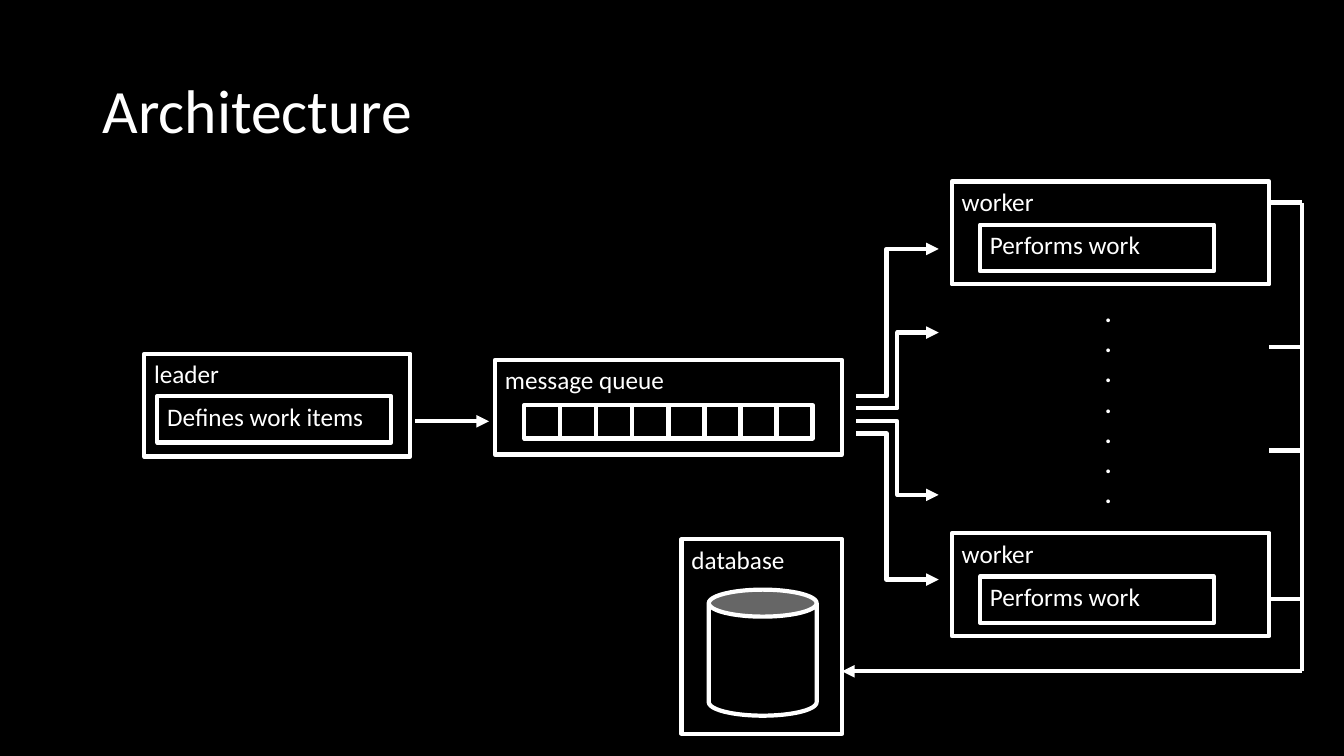
import lxml.etree
import pptx
import pptx.util
import pptx.dml.color
import pptx.enum.shapes
import pptx.enum.text
import pptx.oxml.ns

Inches = pptx.util.Inches
Pt = pptx.util.Pt
SHAPES = pptx.enum.shapes.MSO_SHAPE
CONNECTORS = pptx.enum.shapes.MSO_CONNECTOR
ANCHORS = pptx.enum.text.MSO_ANCHOR

COLORS = {"background": "000000", "foreground": "FFFFFF"}
FONT = "Calibri"
TITLE = "Architecture"
BOXES = [
    ("leader", 1.43, 3.51, 2.64, 1.02),
    ("database", 6.76, 5.35, 1.59, 1.93),
    ("message queue", 4.91, 3.57, 3.44, 0.94),
    ("Defines work items", 1.56, 3.93, 2.32, 0.46),
]
WORKER_LEFT, WORKER_TOPS = 9.44, (1.8, 5.29)
QUEUE_LEFT, QUEUE_RIGHT, QUEUE_TOP, QUEUE_SLOTS = 5.2, 8.06, 4.02, 8
SLOT_WIDTH, SLOT_HEIGHT = (QUEUE_RIGHT - QUEUE_LEFT) / QUEUE_SLOTS, 0.33
DISPATCH_LEFT, DISPATCH_RIGHT = 8.49, 9.31
DISPATCHES = [(3.93, 2.47, 0.37), (4.05, 3.3, 0.5), (4.18, 4.91, 0.5), (4.3, 5.75, 0.37)]
WORKER_RIGHT, BUS_X = 12.59, 12.91
RESULT_ROWS = (2.01, 3.44, 4.47, 5.94)
DATABASE_RIGHT, RETURN_Y = 8.35, 6.66
DOT_COUNT = 7


def color(name):
    return pptx.dml.color.RGBColor.from_string(COLORS[name])


def add_element(parent, tag, **attributes):
    return lxml.etree.SubElement(parent, pptx.oxml.ns.qn(tag), **attributes)


def add_text(frame, lines, size=18, bold=False, anchor=ANCHORS.TOP, spacing=None):
    frame.word_wrap = True
    frame.vertical_anchor = anchor
    for index, line in enumerate(lines):
        paragraph = frame.paragraphs[0] if index == 0 else frame.add_paragraph()
        paragraph.alignment = pptx.enum.text.PP_ALIGN.LEFT
        paragraph.line_spacing = spacing
        run = paragraph.add_run()
        run.text = line
        run.font.name = FONT
        run.font.size = Pt(size)
        run.font.bold = bold
        run.font.color.rgb = color("foreground")


def add_text_box(lines, left, top, width, height, **style):
    box = slide.shapes.add_textbox(Inches(left), Inches(top), Inches(width), Inches(height))
    add_text(box.text_frame, lines, **style)


def add_box(label, left, top, width, height, kind=SHAPES.RECTANGLE, filled=False):
    shape = slide.shapes.add_shape(kind, Inches(left), Inches(top), Inches(width), Inches(height))
    shape.shadow.inherit = False
    if filled:
        shape.fill.solid()
        shape.fill.fore_color.rgb = color("background")
    else:
        shape.fill.background()
    shape.line.color.rgb = color("foreground")
    shape.line.width = Pt(3)
    if label:
        add_text(shape.text_frame, [label])


def add_line(start, end, arrow=False, bend=None):
    kind = CONNECTORS.STRAIGHT if bend is None else CONNECTORS.ELBOW
    connector = slide.shapes.add_connector(kind, *(Inches(value) for value in start + end))
    connector.line.color.rgb = color("foreground")
    connector.line.width = Pt(3)
    properties = connector._element.spPr
    if arrow:
        add_element(properties.find(pptx.oxml.ns.qn("a:ln")), "a:tailEnd", type="triangle")
    if bend is not None:
        adjustments = next(properties.iter(pptx.oxml.ns.qn("a:avLst")))
        add_element(adjustments, "a:gd", name="adj1", fmla=f"val {round(bend * 100000)}")
    add_element(properties, "a:effectLst")


presentation = pptx.Presentation()
presentation.slide_width = Inches(13.33)
presentation.slide_height = Inches(7.5)
slide = presentation.slides.add_slide(presentation.slide_layouts[6])
slide.background.fill.solid()
slide.background.fill.fore_color.rgb = color("background")

add_text_box([TITLE], 0.92, 0.4, 11.5, 1.45, size=44, anchor=ANCHORS.MIDDLE, spacing=0.9)
for box in BOXES:
    add_box(*box)
add_box("", 7.03, 5.85, 1.07, 1.25, kind=SHAPES.CAN, filled=True)
for slot in range(QUEUE_SLOTS):
    add_box("", QUEUE_LEFT + slot * SLOT_WIDTH, QUEUE_TOP, SLOT_WIDTH, SLOT_HEIGHT)
for top in WORKER_TOPS:
    add_box("worker", WORKER_LEFT, top, 3.15, 1.02)
    add_box("Performs work", WORKER_LEFT + 0.28, top + 0.43, 2.32, 0.46)
add_text_box(["."] * DOT_COUNT, 10.86, 2.9, 0.39, 2.26, bold=True)

add_line((4.12, 4.18), (4.85, 4.18), arrow=True)
for start_y, end_y, bend in DISPATCHES:
    add_line((DISPATCH_LEFT, start_y), (DISPATCH_RIGHT, end_y), arrow=True, bend=bend)
for row in RESULT_ROWS:
    add_line((WORKER_RIGHT, row), (BUS_X, row))
add_line((BUS_X, RETURN_Y), (BUS_X, RESULT_ROWS[0]))
add_line((BUS_X, RETURN_Y), (DATABASE_RIGHT, RETURN_Y), arrow=True)

presentation.save("out.pptx")
